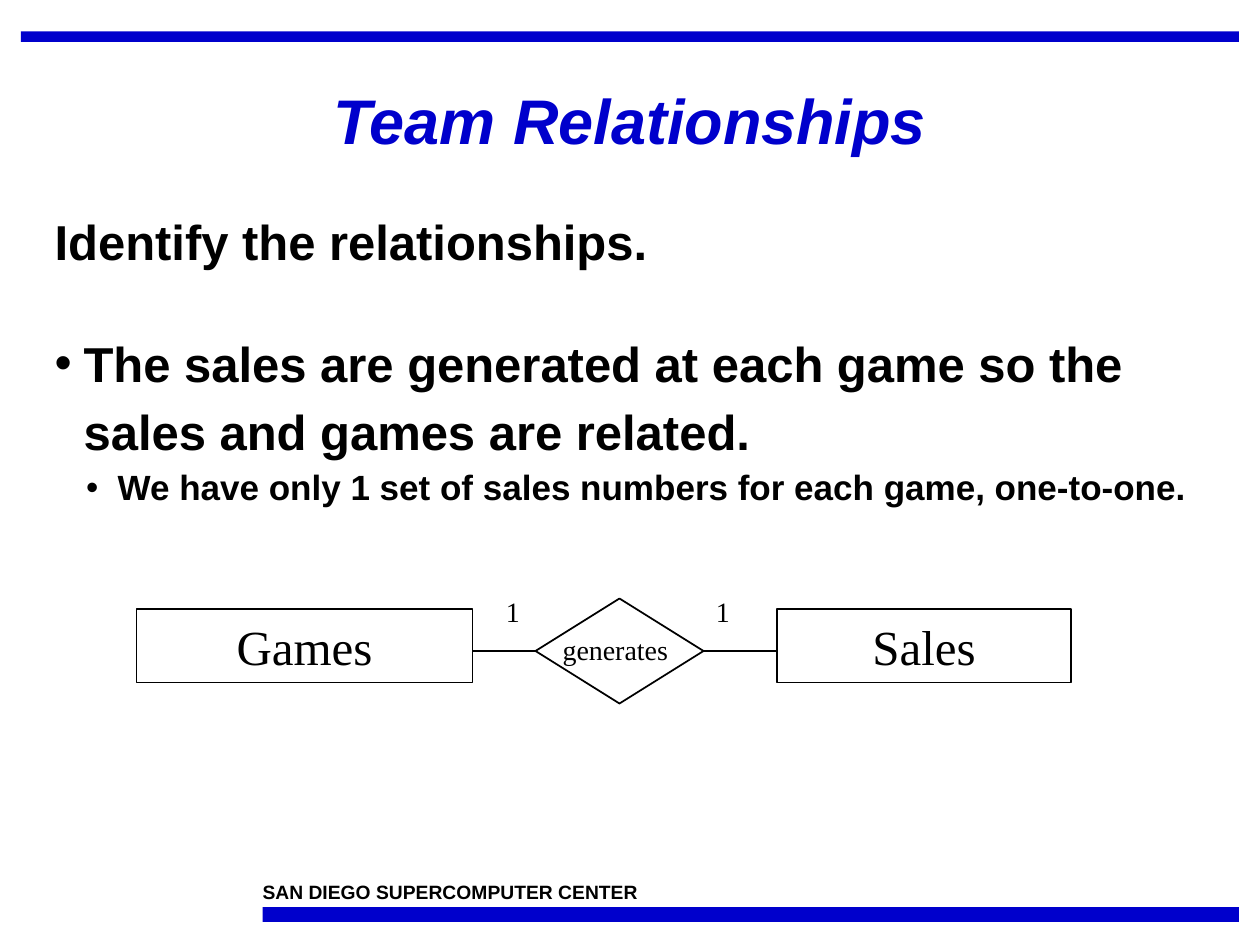
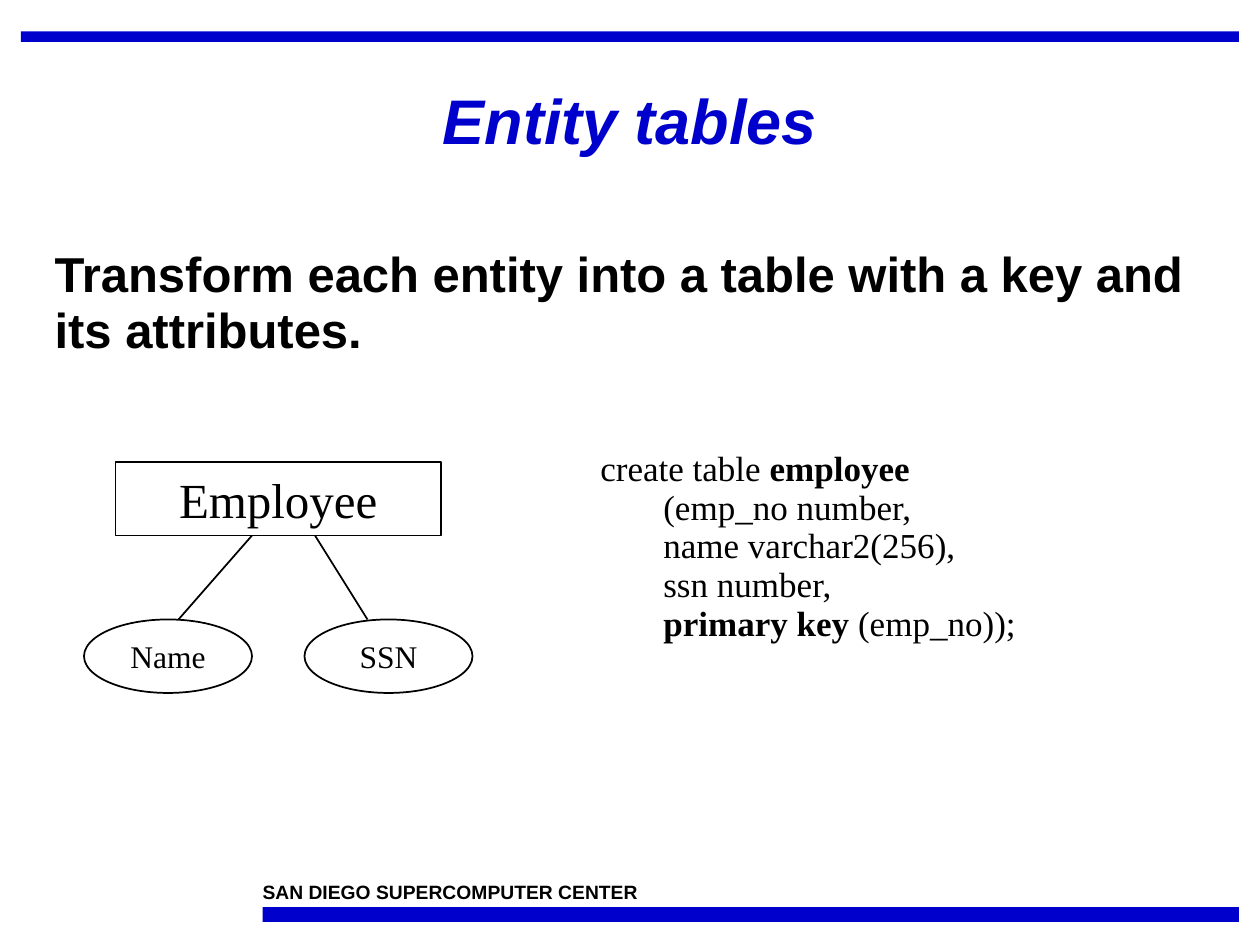
from dataclasses import dataclass

from lxml.etree import SubElement
from pptx import Presentation
from pptx.dml.color import RGBColor
from pptx.enum.shapes import MSO_CONNECTOR as Connector, MSO_SHAPE as Preset
from pptx.enum.text import MSO_ANCHOR as Anchor, MSO_AUTO_SIZE as AutoSize, PP_ALIGN as Align
from pptx.oxml.ns import qn
from pptx.util import Emu, Inches, Pt

BLUE = RGBColor(0x00, 0x00, 0xCC)
BLACK = RGBColor(0x00, 0x00, 0x00)
SANS, SERIF = "Arial", "Times New Roman"
WIDTH, HEIGHT = Inches(10), Inches(7.5)
COLUMNS = 120
CELL = WIDTH // COLUMNS

TITLE = dict(name=SANS, size=Pt(36), bold=True, italic=True, color=BLUE)
LEAD = dict(name=SANS, size=Pt(28), bold=True, color=BLACK)
DETAIL = LEAD | dict(size=Pt(20))
FOOTER = LEAD | dict(size=Pt(11))
ENTITY = dict(name=SERIF, size=Pt(28), bold=False, color=BLACK)
ATTRIBUTE = ENTITY | dict(size=Pt(18))
LABEL = ENTITY | dict(size=Pt(16))
CODE = ENTITY | dict(size=Pt(20))
KEYWORD = CODE | dict(bold=True)


@dataclass
class Box:
    """A rectangle measured in grid columns and rows."""
    column: float
    row: float
    columns: float
    rows: float

    def inner(self, column, row, columns, rows):
        """Return a box placed relative to this one."""
        return Box(self.column + column, self.row + row, columns, rows)

    def lengths(self):
        """Return left, top, width and height as slide lengths."""
        return [Emu(round(value * CELL)) for value in
                (self.column, self.row, self.columns, self.rows)]


@dataclass
class Item:
    """One body paragraph with its spacing and indent."""
    text: str
    style: dict
    line_spacing: float = 0.95
    space_before: float = 0
    margin: float = 0
    hanging: float = 0


def set_all(target, values):
    """Set attributes from a dict of values."""
    for name, value in values.items():
        setattr(target, name, value)


def add_run(paragraph, text, style):
    """Add one formatted run."""
    run = paragraph.add_run()
    run.text = text
    set_all(run.font, {key: value for key, value in style.items() if key != "color"})
    run.font.color.rgb = style["color"]


def place(shape, box):
    """Move a placeholder to a box."""
    set_all(shape, dict(zip(("left", "top", "width", "height"), box.lengths())))


def write_line(shape, text, style, align=Align.CENTER, **frame_values):
    """Write a single paragraph into a shape."""
    frame = shape.text_frame
    set_all(frame, dict(word_wrap=False, auto_size=AutoSize.NONE,
                        vertical_anchor=Anchor.MIDDLE) | frame_values)
    paragraph = frame.paragraphs[0]
    paragraph.alignment = align
    add_run(paragraph, text, style)
    return paragraph


def add_outline(slide, preset, box, text="", style=ENTITY):
    """Add an unfilled, thin-lined shape with an optional name."""
    shape = slide.shapes.add_shape(preset, *box.lengths())
    shape.shadow.inherit = False
    shape.fill.background()
    shape.line.color.rgb = BLACK
    shape.line.width = Pt(1)
    if text:
        write_line(shape, text, style)


def add_label(slide, box, text):
    """Add a small centred label."""
    write_line(slide.shapes.add_textbox(*box.lengths()), text, LABEL)


def add_link(slide, box):
    """Draw a line across a box; negative columns run leftwards."""
    left, top, width, height = box.lengths()
    line = slide.shapes.add_connector(Connector.STRAIGHT, left, top, left + width, top + height)
    line.line.color.rgb = BLACK
    line.line.width = Pt(1)
    SubElement(line.element.spPr, qn("a:effectLst"))


def build_master(presentation, slide):
    """Put the two bands and the footer on the slide master."""
    bands = [Box(2, 3, 116, 1), Box(25, 86.4, 93, 1.4)]
    shared = []
    for box in bands:
        band = slide.shapes.add_shape(Preset.RECTANGLE, *box.lengths())
        band.shadow.inherit = False
        band.fill.solid()
        band.fill.fore_color.rgb = BLUE
        band.line.fill.background()
        shared.append(band)
    footer = slide.shapes.add_textbox(*Box(25, 83.8, 45, 2.2).lengths())
    write_line(footer, "SAN DIEGO SUPERCOMPUTER CENTER", FOOTER, Align.LEFT,
               margin_left=0, margin_right=0, margin_top=0, margin_bottom=0,
               vertical_anchor=Anchor.TOP)
    shared.append(footer)
    for number, shape in enumerate(shared, 101):
        shape.element.nvSpPr.cNvPr.set("id", str(number))
        presentation.slide_master.shapes.element.append(shape.element)


def add_content_slide(presentation, title, items, body_box):
    """Add a slide with its title and body text."""
    slide = presentation.slides.add_slide(presentation.slide_layouts[1])
    place(slide.shapes.title, Box(2, 5, 116, 13.7))
    heading = write_line(slide.shapes.title, title, TITLE, word_wrap=True)
    heading.line_spacing = 0.9
    body = slide.placeholders[1]
    place(body, body_box)
    frame = body.text_frame
    set_all(frame, dict(word_wrap=True, auto_size=AutoSize.NONE, vertical_anchor=Anchor.TOP))
    for index, item in enumerate(items):
        paragraph = frame.add_paragraph() if index else frame.paragraphs[0]
        properties = paragraph._p.get_or_add_pPr()
        properties.set("marL", str(Inches(item.margin)))
        properties.set("indent", str(-Inches(item.hanging)))
        if item.hanging:
            SubElement(properties, qn("a:buFont"), typeface=SANS)
            SubElement(properties, qn("a:buChar"), char="•")
        else:
            SubElement(properties, qn("a:buNone"))
        set_all(paragraph, dict(line_spacing=item.line_spacing,
                                space_before=Pt(item.space_before)))
        add_run(paragraph, item.text, item.style)
    return slide


def add_relationship(slide, box):
    """Draw two entities joined by a one-to-one relationship."""
    add_outline(slide, Preset.RECTANGLE, box.inner(0, 2, 32, 7), "Games")
    add_outline(slide, Preset.RECTANGLE, box.inner(61, 2, 28, 7), "Sales")
    add_outline(slide, Preset.DIAMOND, box.inner(38, 1, 16, 10))
    add_label(slide, box.inner(38.6, 3.6, 14, 4.4), "generates")
    for column in (34, 54):
        add_label(slide, box.inner(column, 0, 3.7, 4.4), "1")
    for start, end in ((38, 32), (54, 61)):
        add_link(slide, box.inner(start, 6, end - start, 0))


def add_entity(slide, box):
    """Draw an entity linked to its attributes."""
    add_outline(slide, Preset.RECTANGLE, box.inner(3, 0, 31, 7), "Employee")
    attributes = [("Name", 0, 16, 9), ("SSN", 21, 22, 27)]
    for name, column, start, end in attributes:
        add_outline(slide, Preset.OVAL, box.inner(column, 15, 16, 7), name, ATTRIBUTE)
        add_link(slide, box.inner(start, 7, end - start, 8))


def add_code(slide, box):
    """Write the table definition."""
    lines = [
        [("create table ", CODE), ("employee", KEYWORD)],
        [("\t(emp_no number,", CODE)],
        [("\tname varchar2(256),", CODE)],
        [("\tssn number,", CODE)],
        [("\t", CODE), ("primary key", KEYWORD), (" (emp_no));", CODE)],
    ]
    frame = slide.shapes.add_textbox(*box.lengths()).text_frame
    frame.word_wrap = True
    for index, runs in enumerate(lines):
        paragraph = frame.add_paragraph() if index else frame.paragraphs[0]
        set_all(paragraph, dict(line_spacing=0.4, space_before=Pt(12.5 if index else 0)))
        for text, style in runs:
            add_run(paragraph, text, style)


def main():
    """Build and save the presentation."""
    presentation = Presentation()
    set_all(presentation, dict(slide_width=WIDTH, slide_height=HEIGHT))

    relationships = add_content_slide(presentation, "Team Relationships", [
        Item("Identify the relationships.", LEAD),
        Item("The sales are generated at each game so the sales and games are related.",
             LEAD, 1.15, 30, 0.23, 0.23),
        Item("We have only 1 set of sales numbers for each game, one-to-one.",
             DETAIL, 0.95, 5, 0.5, 0.25),
    ], Box(4, 20, 113, 29))
    build_master(presentation, relationships)
    add_relationship(relationships, Box(13, 56, 89, 11))

    tables = add_content_slide(presentation, "Entity tables", [
        Item("Transform each entity into a table with a key and its attributes.", LEAD),
    ], Box(4, 23, 113, 12))
    add_entity(tables, Box(8, 44, 37, 22))
    add_code(tables, Box(56, 44, 48, 17.5))

    presentation.save("out.pptx")


if __name__ == "__main__":
    main()
